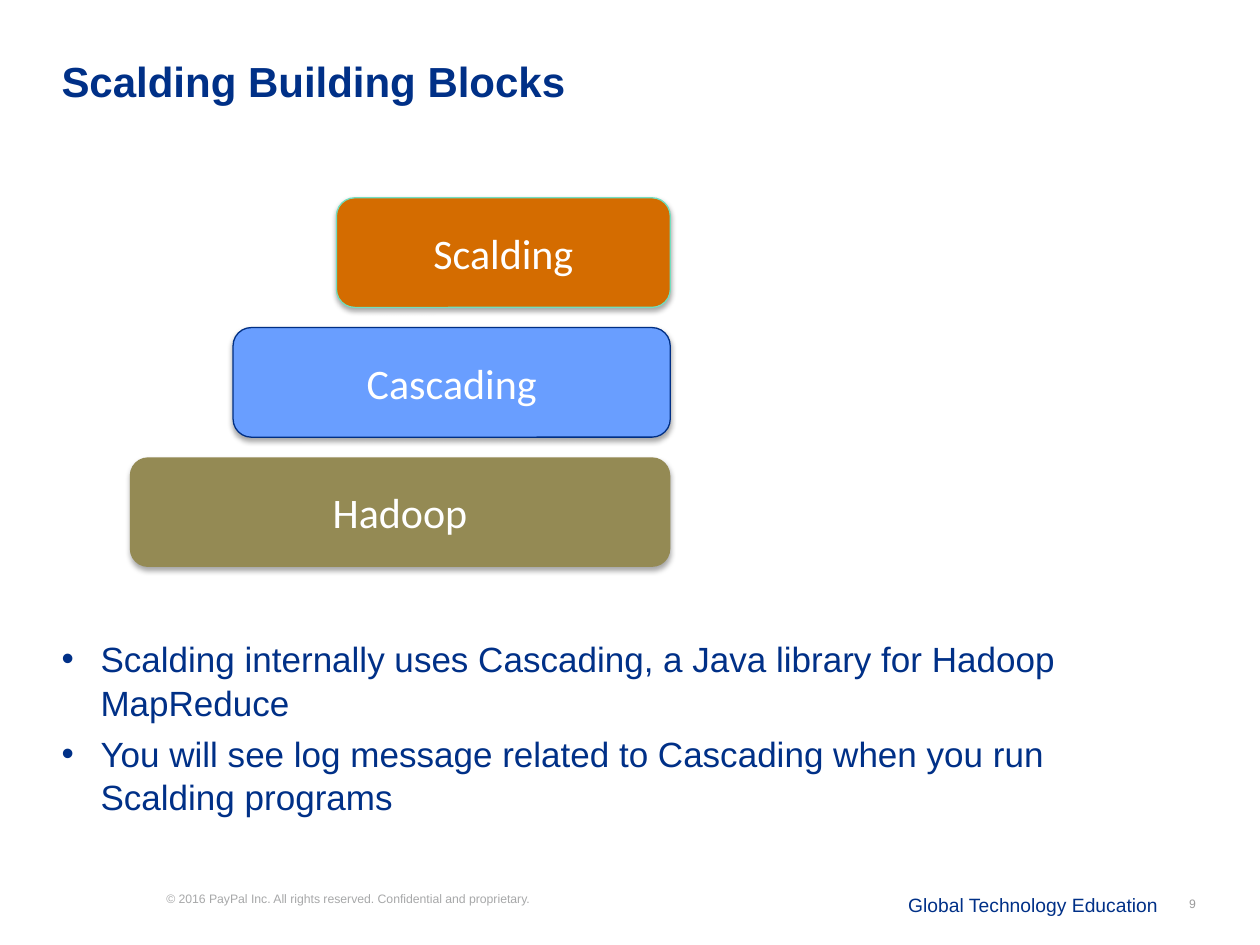
from dataclasses import dataclass

from lxml.etree import SubElement
from pptx import Presentation
from pptx.dml.color import RGBColor
from pptx.enum.shapes import MSO_SHAPE as Shape
from pptx.enum.text import MSO_ANCHOR as Anchor, PP_ALIGN as Align
from pptx.oxml.ns import qn
from pptx.util import Inches, Pt


@dataclass(frozen=True)
class Theme:
    navy: str = "003087"
    white: str = "FFFFFF"
    copyright_gray: str = "A7A8A9"
    number_gray: str = "99999A"
    olive: str = "948A54"
    blue: str = "699EFF"
    blue_edge: str = "002F84"
    orange: str = "D46C00"
    orange_edge: str = "72DEBE"
    text_font: str = "Arial"
    block_font: str = "Calibri"
    heading: int = 24
    body: int = 20
    label: int = 11
    small: int = 7


class SlideBuilder:
    """Places elements on a grid of 100 columns by 75 rows."""

    def __init__(self, presentation, theme):
        self.theme = theme
        self.slide = presentation.slides.add_slide(presentation.slide_layouts[6])
        self.column = presentation.slide_width / 100
        self.row = presentation.slide_height / 75

    def place(self, left, top, width, height):
        return (round(left * self.column), round(top * self.row),
                round(width * self.column), round(height * self.row))

    def add_run(self, paragraph, text, size, color, font=None, bold=False):
        run = paragraph.add_run()
        run.text = text
        run.font.name = font or self.theme.text_font
        run.font.size = Pt(size)
        run.font.bold = bold
        run.font.color.rgb = RGBColor.from_string(color)

    def set_margins(self, frame, horizontal, vertical):
        frame.margin_left = frame.margin_right = Inches(horizontal)
        frame.margin_top = frame.margin_bottom = Inches(vertical)

    def add_text(self, area, text, size, color, bold=False, wrap=True, margins=(0.1, 0.05),
                 anchor=Anchor.TOP, align=Align.LEFT, spacing=None):
        frame = self.slide.shapes.add_textbox(*self.place(*area)).text_frame
        frame.word_wrap = wrap
        frame.vertical_anchor = anchor
        self.set_margins(frame, *margins)
        paragraph = frame.paragraphs[0]
        paragraph.alignment = align
        paragraph.line_spacing = spacing
        self.add_run(paragraph, text, size, color, bold=bold)

    def add_bullets(self, area, items):
        frame = self.slide.shapes.add_textbox(*self.place(*area)).text_frame
        frame.word_wrap = True
        for index, item in enumerate(items):
            paragraph = frame.add_paragraph() if index else frame.paragraphs[0]
            paragraph.line_spacing = 1.04
            paragraph.space_before = Pt(4 if index else 0)
            properties = paragraph._p.get_or_add_pPr()
            properties.set("marL", str(Inches(0.31)))
            properties.set("indent", str(-Inches(0.31)))
            SubElement(properties, qn("a:buFont"), typeface=self.theme.text_font)
            SubElement(properties, qn("a:buChar"), char="•")
            self.add_run(paragraph, item, self.theme.body, self.theme.navy)

    def add_block(self, area, text, fill, edge):
        block = self.slide.shapes.add_shape(Shape.ROUNDED_RECTANGLE, *self.place(*area))
        block.fill.solid()
        block.fill.fore_color.rgb = RGBColor.from_string(fill)
        if edge:
            block.line.color.rgb = RGBColor.from_string(edge)
            block.line.width = Pt(0.75)
        else:
            block.line.fill.background()
        self.add_soft_shadow(block)
        frame = block.text_frame
        frame.word_wrap = True
        frame.vertical_anchor = Anchor.MIDDLE
        self.set_margins(frame, 0.24, 0.12)
        frame.paragraphs[0].alignment = Align.CENTER
        self.add_run(frame.paragraphs[0], text, self.theme.heading,
                     self.theme.white, self.theme.block_font)

    def add_soft_shadow(self, shape):
        shape.shadow.inherit = False
        effects = shape._element.spPr.find(qn("a:effectLst"))
        shadow = SubElement(effects, qn("a:outerShdw"), blurRad=str(Pt(3.1)),
                            dist=str(Pt(1.8)), dir="5400000", rotWithShape="0")
        color = SubElement(shadow, qn("a:srgbClr"), val="000000")
        SubElement(color, qn("a:alpha"), val="35000")


def main():
    presentation = Presentation()
    presentation.slide_width, presentation.slide_height = Inches(10), Inches(7.5)
    theme = Theme()
    builder = SlideBuilder(presentation, theme)

    # Footer
    builder.add_text((13.2, 70.7, 39.6, 2.4),
                     "© 2016 PayPal Inc. All rights reserved. Confidential and proprietary.",
                     theme.small, theme.copyright_gray, margins=(0, 0))
    builder.add_text((71.1, 69.7, 22.2, 3.3), "Global Technology Education",
                     theme.label, theme.navy, wrap=False, spacing=1.4)
    builder.add_text((92.2, 69.7, 3.7, 4), "9", theme.small, theme.number_gray,
                     anchor=Anchor.MIDDLE, align=Align.RIGHT)

    # Title
    builder.add_text((3.9, 3.6, 90, 6.5), "Scalding Building Blocks",
                     theme.heading, theme.navy, bold=True, margins=(0.1, 0.08))

    # Explanation
    builder.add_bullets((3.9, 50, 90, 18.6), [
        "Scalding internally uses Cascading, a Java library for Hadoop MapReduce",
        "You will see log message related to Cascading when you run Scalding programs",
    ])

    # Layers, from the base up, flush on the right
    layers = [
        ("Hadoop", theme.olive, None),
        ("Cascading", theme.blue, theme.blue_edge),
        ("Scalding", theme.orange, theme.orange_edge),
    ]
    right, base_left, base_top, step_in, step_up = 53.2, 10.3, 36.3, 8.2, 10.3
    for level, (name, fill, edge) in enumerate(layers):
        left = base_left + level * step_in
        builder.add_block((left, base_top - level * step_up, right - left, 8.7),
                          name, fill, edge)

    presentation.save("out.pptx")


if __name__ == "__main__":
    main()
